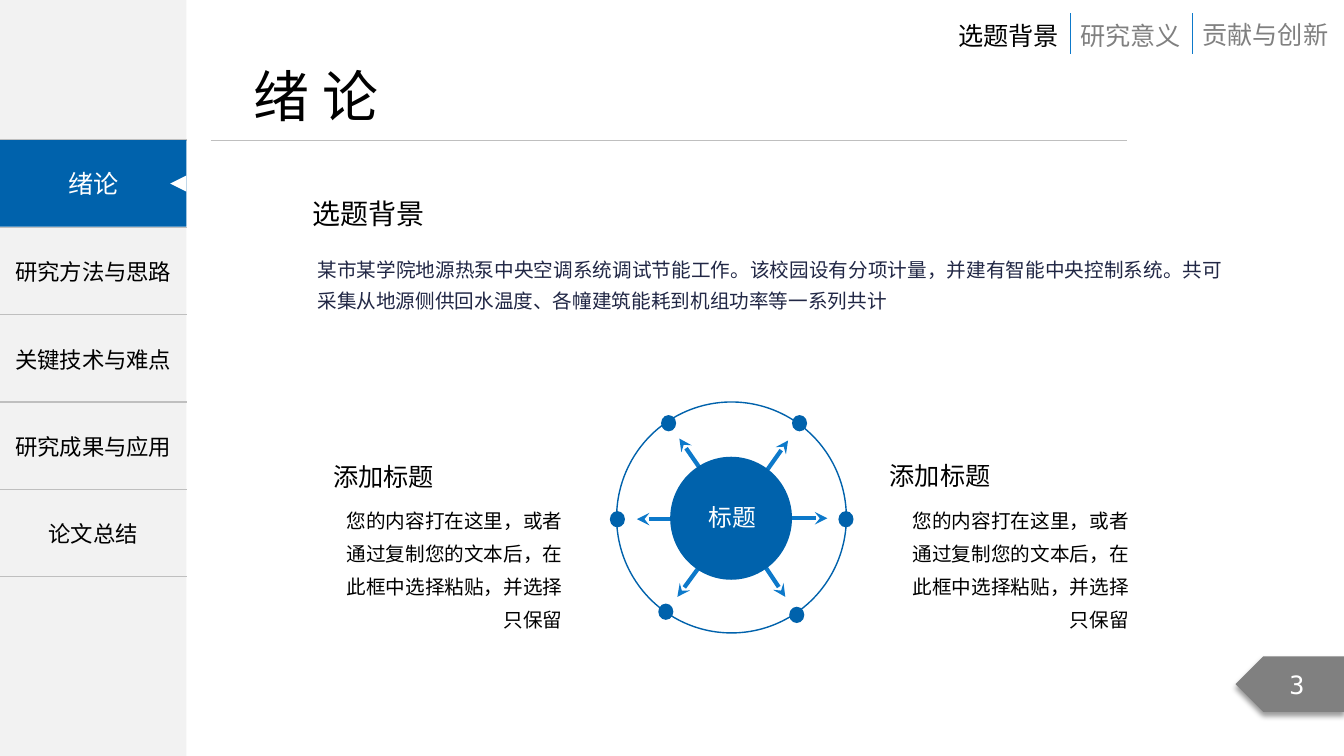
from lxml import etree
from pptx import Presentation
from pptx.dml.color import RGBColor
from pptx.enum import shapes, text
from pptx.oxml.ns import qn
from pptx.util import Cm, Pt


class Theme:
    BLUE = RGBColor.from_string("0062AC")
    BRIGHT = RGBColor.from_string("0D79CA")
    NAVY = RGBColor.from_string("212745")
    BLACK = RGBColor.from_string("000000")
    WHITE = RGBColor.from_string("FFFFFF")
    PALE = RGBColor.from_string("F2F2F2")
    RULE = RGBColor.from_string("BFBFBF")
    GREY = RGBColor.from_string("808080")
    TITLE, SECTION, HEADING, HUB, MENU, BODY = 40, 20, 18, 17, 16, 14
    CJK, LATIN, MONO = "Noto Sans CJK SC", "Calibri", "DejaVu Sans Mono"


KIND = shapes.MSO_SHAPE
ALIGN = text.PP_ALIGN
MIDDLE = text.MSO_ANCHOR.MIDDLE

prs = Presentation()
prs.slide_width, prs.slide_height = Cm(33.87), Cm(19.05)
slide = prs.slides.add_slide(prs.slide_layouts[6])


def add_part(kind, box, fill=None, line=None):
    """Add a preset shape, or a text box when kind is None; box is in cm."""
    lengths = [Cm(length) for length in box]
    if kind is None:
        part = slide.shapes.add_textbox(*lengths)
        part.text_frame.auto_size = text.MSO_AUTO_SIZE.SHAPE_TO_FIT_TEXT
        return part
    part = slide.shapes.add_shape(kind, *lengths)
    part.shadow.inherit = False
    if fill is None:
        part.fill.background()
    else:
        part.fill.solid()
        part.fill.fore_color.rgb = fill
    if line is None:
        part.line.fill.background()
    else:
        part.line.color.rgb = line
        part.line.width = Pt(1)
    return part


def write(frame, words, size, color=Theme.BLACK, font=Theme.CJK, align=ALIGN.LEFT, wrap=False):
    frame.word_wrap = wrap
    paragraph = frame.paragraphs[0]
    paragraph.alignment = align
    run = paragraph.add_run()
    run.text = words
    run.font.size = Pt(size)
    run.font.name = font
    run.font.color.rgb = color
    etree.SubElement(run.font._element, qn("a:ea"), typeface=Theme.CJK)
    return paragraph


# Sidebar menu
SIDEBAR, MENU_TOP, ROW = 4.7, 3.53, 2.2
add_part(KIND.RECTANGLE, (0, 0, SIDEBAR, 19.05), Theme.PALE)
chapters = ["", "研究方法与思路", "关键技术与难点", "研究成果与应用", "论文总结"]
menu = slide.shapes.add_table(
    len(chapters), 1, Cm(0), Cm(MENU_TOP), Cm(SIDEBAR), Cm(ROW * len(chapters))).table
menu.first_row = menu.horz_banding = False
no_style = "{2D5ABB26-0587-4C30-8999-92F81FD0307C}"
menu._tbl.tblPr.find(qn("a:tableStyleId")).text = no_style
for row, chapter in enumerate(chapters):
    cell = menu.cell(row, 0)
    cell.fill.background()
    cell.vertical_anchor = MIDDLE
    if chapter:
        write(cell.text_frame, chapter, Theme.MENU, align=ALIGN.CENTER, wrap=True)
    for position, side in enumerate(("a:lnT", "a:lnB")):
        border = etree.Element(qn(side), w=str(Pt(1)))
        solid = etree.SubElement(border, qn("a:solidFill"))
        etree.SubElement(solid, qn("a:srgbClr"), val=str(Theme.RULE))
        cell._tc.tcPr.insert(position, border)

current = add_part(KIND.RECTANGLE, (0, MENU_TOP, SIDEBAR, 2.18), Theme.BLUE)
current.text_frame.vertical_anchor = MIDDLE
write(current.text_frame, "绪论", Theme.HEADING, Theme.WHITE, align=ALIGN.CENTER, wrap=True)
pointer = add_part(KIND.ISOSCELES_TRIANGLE, (4.29, 4.42, 0.41, 0.41), Theme.WHITE)
pointer.rotation = 270

# Title and page number
write(add_part(None, (6.15, 1.42, 4.06, 1.96)).text_frame, "绪 论", Theme.TITLE)
page = add_part(KIND.PENTAGON, (31.14, 16.54, 2.74, 1.4), Theme.GREY)
page._element.spPr.xfrm.set("flipH", "1")
shadow = etree.SubElement(
    page._element.spPr.find(qn("a:effectLst")), qn("a:outerShdw"),
    blurRad=str(Pt(4)), dist=str(Pt(3)), dir="5400000", algn="t", rotWithShape="0")
shade = etree.SubElement(shadow, qn("a:srgbClr"), val=str(Theme.BLACK))
etree.SubElement(shade, qn("a:alpha"), val="40000")
page.text_frame.vertical_anchor = MIDDLE
write(page.text_frame, "3", Theme.HEADING, Theme.WHITE, Theme.MONO, ALIGN.CENTER, True)

# Section tabs
for tab, left, top, width, color in [
    ("选题背景", 23.9, 0.38, 3.07, Theme.BLACK),
    ("研究意义", 26.97, 0.38, 3.07, Theme.GREY),
    ("贡献与创新", 30.05, 0.36, 3.71, Theme.GREY),
]:
    write(add_part(None, (left, top, width, 1.02)).text_frame, tab, Theme.HEADING, color)

# Diagram ring and its dots
add_part(KIND.OVAL, (15.54, 10.13, 5.79, 5.82), line=Theme.BLUE)
for left, top in [(19.96, 10.46), (16.66, 10.46), (15.37, 12.88),
                  (21.13, 12.88), (19.89, 15.29), (16.59, 15.21)]:
    add_part(KIND.OVAL, (left, top, 0.38, 0.41), Theme.BLUE)

# Rules, tab dividers and diagram arrows: ends, colour, weight, arrowhead
strokes = [((5.31, 3.53, 28.4, 3.53), Theme.RULE, 0.5, False)]
strokes += [((x, 0.33, x, 1.37), Theme.BRIGHT, 0.5, False) for x in (26.97, 30.05)]
strokes += [(ends, Theme.BRIGHT, 3, True) for ends in [
    (18.47, 13.06, 19.86, 11.1),
    (18.42, 13.06, 20.85, 13.06),
    (18.47, 13, 17.12, 11.05),
    (18.42, 13.08, 16.05, 13.08),
    (18.47, 13.13, 17.07, 15.04),
    (18.52, 13.13, 19.79, 15.04),
]]
for ends, color, weight, arrow in strokes:
    stroke = slide.shapes.add_connector(
        shapes.MSO_CONNECTOR.STRAIGHT, *[Cm(end) for end in ends])
    stroke.line.color.rgb = color
    stroke.line.width = Pt(weight)
    if arrow:
        etree.SubElement(stroke.line._get_or_add_ln(), qn("a:tailEnd"), type="stealth")
    etree.SubElement(stroke._element.spPr, qn("a:effectLst"))

# Background section
background = write(
    add_part(None, (7.57, 6.2, 23.5, 1.8)).text_frame,
    "某市某学院地源热泵中央空调系统调试节能工作。该校园设有分项计量，并建有智能中央控制系统。"
    "共可采集从地源侧供回水温度、各幢建筑能耗到机组功率等一系列共计",
    Theme.BODY, Theme.NAVY, Theme.LATIN, ALIGN.JUSTIFY, True)
background.line_spacing = 1.3
background._p.pPr.set("marL", str(Cm(0.18)))
background._p.pPr.set("indent", "0")
write(add_part(None, (7.62, 4.83, 3.35, 1.12)).text_frame, "选题背景", Theme.SECTION)

# Diagram hub
add_part(KIND.OVAL, (16.89, 11.51, 3.07, 3.1), Theme.BLUE)
write(add_part(None, (17.6, 12.55, 1.9, 0.99)).text_frame, "标题", Theme.HUB, Theme.WHITE)

# Explanations on both sides
for heading_left, heading_top, details_left in [(22.17, 11.48, 22.3), (8.15, 11.51, 8.03)]:
    heading = add_part(None, (heading_left, heading_top, 3.07, 1.02))
    write(heading.text_frame, "添加标题", Theme.HEADING)
    details = write(
        add_part(None, (details_left, 12.45, 6.4, 2.8)).text_frame,
        "您的内容打在这里，或者通过复制您的文本后，在此框中选择粘贴，并选择只保留",
        Theme.BODY, align=ALIGN.RIGHT, wrap=True)
    details.line_spacing = Pt(23.7)

prs.save("out.pptx")
